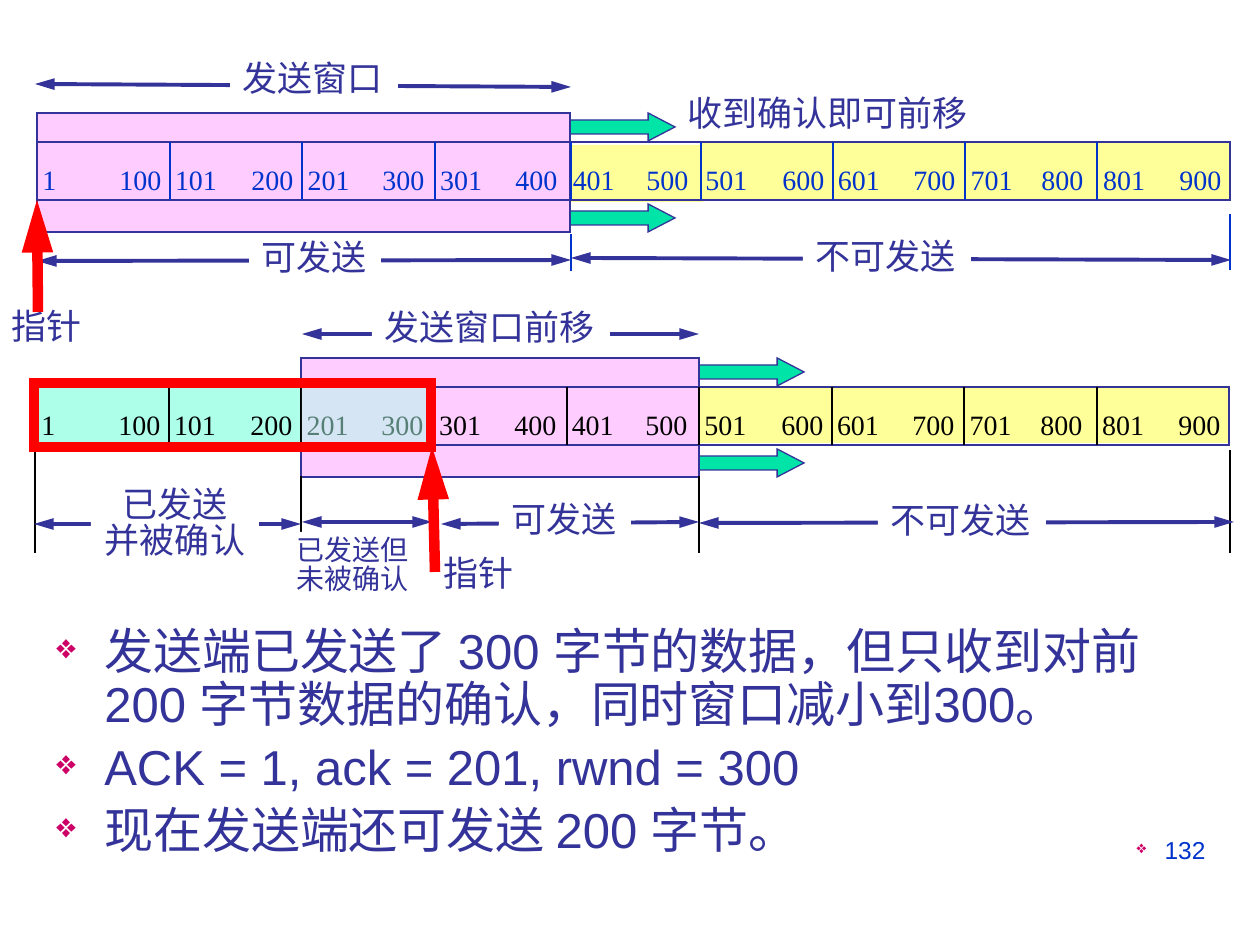
import pptx
import pptx.util
import pptx.dml.color
import pptx.enum.shapes
import pptx.enum.text
import pptx.oxml.ns
import lxml.etree

SCALE = 914400 / 126
COLORS = {
    "indigo": "333399", "blue": "0033CC", "black": "000000", "white": "FFFFFF",
    "yellow": "FFFF99", "pink": "FFCCFF", "mint": "ADFFEA", "green": "00E4A8",
    "red": "FF0000", "bullet": "CC0066",
}
CJK = "Noto Sans CJK SC"
SHAPES = pptx.enum.shapes.MSO_SHAPE
ALIGN = pptx.enum.text.PP_ALIGN
qn = pptx.oxml.ns.qn

deck = pptx.Presentation()
deck.slide_width = round(1260 * SCALE)
deck.slide_height = round(945 * SCALE)
page = deck.slides.add_slide(deck.slide_layouts[6])


def add_box(text, area, shape=SHAPES.RECTANGLE, fill=None, line=None, weight=0.75,
            size=20, font=CJK, color="indigo", align=ALIGN.LEFT, spacing=1.0,
            wrap=False, indent=0, before=0):
    place = [round(value * SCALE) for value in area]
    if text:
        box = page.shapes.add_textbox(*place)
    else:
        box = page.shapes.add_shape(shape, *place)
        box.shadow.inherit = False
        if line:
            box.line.color.rgb = pptx.dml.color.RGBColor.from_string(COLORS[line])
            box.line.width = pptx.util.Pt(weight)
            lxml.etree.SubElement(box.line._get_or_add_ln(), qn("a:miter"), lim="800000")
        else:
            box.line.fill.background()
    if fill:
        box.fill.solid()
        box.fill.fore_color.rgb = pptx.dml.color.RGBColor.from_string(COLORS[fill])
    else:
        box.fill.background()
    if not text:
        return box
    frame = box.text_frame
    frame.word_wrap = wrap
    frame.auto_size = (pptx.enum.text.MSO_AUTO_SIZE.NONE if wrap
                       else pptx.enum.text.MSO_AUTO_SIZE.SHAPE_TO_FIT_TEXT)
    for number, words in enumerate(text.split("\n")):
        para = frame.paragraphs[0] if number == 0 else frame.add_paragraph()
        if indent:
            props = para._p.get_or_add_pPr()
            props.set("marL", str(round(indent * SCALE)))
            props.set("indent", str(round(-indent * SCALE)))
            tint = lxml.etree.SubElement(props, qn("a:buClr"))
            lxml.etree.SubElement(tint, qn("a:srgbClr"), val=COLORS["bullet"])
            lxml.etree.SubElement(props, qn("a:buSzPct"), val="70000")
            lxml.etree.SubElement(props, qn("a:buChar"), char="❖")
        para.alignment = align
        para.line_spacing = spacing
        if number and before:
            para.space_before = pptx.util.Pt(before)
        span = para.add_run()
        span.text = words
        span.font.size = pptx.util.Pt(size)
        span.font.name = font
        span.font.color.rgb = pptx.dml.color.RGBColor.from_string(COLORS[color])
        lxml.etree.SubElement(span._r.get_or_add_rPr(), qn("a:ea"), typeface=CJK)
    return box


def add_line(points, color, weight=0.75, heads=()):
    line = page.shapes.add_connector(
        pptx.enum.shapes.MSO_CONNECTOR.STRAIGHT, *[round(value * SCALE) for value in points])
    line.line.color.rgb = pptx.dml.color.RGBColor.from_string(COLORS[color])
    line.line.width = pptx.util.Pt(weight)
    outline = line.line._get_or_add_ln()
    for head in heads:
        lxml.etree.SubElement(outline, qn("a:" + head), type="triangle", w="med", len="lg")
    lxml.etree.SubElement(line._element.spPr, qn("a:effectLst"))


add_box("132", (903, 829, 315, 66), size=14, font="Arial", color="blue",
        align=ALIGN.RIGHT, wrap=True, indent=28)

rows = [
    {"left": 37, "top": 142, "color": "blue", "window": (37, 533),
     "cells": [(571, 145, 132, "yellow"), (702, 142, 528, "yellow")],
     "dividers": [170, 302, 435, 571, 701, 833, 965, 1097]},
    {"left": 36, "top": 387, "color": "black", "window": (301, 398),
     "cells": [(698, 386, 531, "yellow"), (38, 388, 262, "mint")],
     "dividers": [169, 301, 435, 567, 699, 832, 964, 1097]},
]
end_offsets = [70, 202, 333, 466, 597, 733, 864, 992, 1130]
for row in rows:
    left, top, color = row["left"], row["top"], row["color"]
    window_left, window_width = row["window"]
    for cell_left, cell_top, cell_width, fill in row["cells"]:
        add_box("", (cell_left, cell_top, cell_width, 57), fill=fill)
    for arrow_top in (top - 29, top + 62):
        arrow = add_box("", (window_left + window_width, arrow_top, 105, 28),
                        shape=SHAPES.RIGHT_ARROW, fill="green", line="indigo")
        arrow.adjustments[1] = 0.96
    add_box("", (window_left, top - 29, window_width, 119), fill="pink", line="indigo", weight=1)
    add_box("", (left, top, 1193, 58), line="indigo")
    for x in row["dividers"]:
        add_line((x, top, x, top + 58), color)
    for index, offset in enumerate(end_offsets):
        first, last = 100 * index + 1, 100 * index + 100
        first_left = left - 7 + 132.6 * index
        for number, x, width in ((first, first_left, 68 if index else 40),
                                 (last, left + offset, 68)):
            add_box(str(number), (x, top + 14, width, 47), size=16,
                    font="Times New Roman", color=color)

boundaries = [
    (571, 234, 271, "blue"), (1230, 214, 270, "blue"), (35, 450, 553, "black"),
    (301, 476, 553, "black"), (699, 476, 553, "black"), (1230, 450, 553, "black"),
]
for x, top, bottom, color in boundaries:
    add_line((x, top, x, bottom), color)

acked_part = add_box("", (302, 388, 129, 57), fill="mint")
shade = acked_part._element.spPr.find(qn("a:solidFill"))[0]
lxml.etree.SubElement(shade, qn("a:alpha"), val="50000")
add_box("", (34, 383, 397, 64), line="red", weight=6)

ranges = [
    (35, 84, 571, 87), (37, 261, 571, 260), (571, 258, 1231, 260), (302, 334, 699, 334),
    (34, 524, 301, 524), (302, 522, 432, 522), (441, 524, 699, 522), (699, 523, 1234, 522),
]
for points in ranges:
    add_line(points, "indigo", weight=2.25, heads=("headEnd", "tailEnd"))
for points in ((38, 312, 37, 200), (435, 572, 432, 447)):
    add_line(points, "red", weight=6, heads=("tailEnd",))

labels = [
    ("发送窗口", (230, 50, 168, 54), {"fill": "white"}),
    ("发送窗口前移", (372, 299, 238, 54), {"fill": "white"}),
    ("收到确认即可前移", (675, 92, 309, 48), {"spacing": 0.85}),
    ("可发送", (249, 236, 132, 48), {"fill": "white", "spacing": 0.85}),
    ("不可发送", (803, 235, 168, 48), {"fill": "white", "spacing": 0.85}),
    ("指针", (-1, 305, 98, 48), {"spacing": 0.85}),
    ("已发送\n并被确认", (91, 483, 168, 84),
     {"fill": "white", "spacing": 0.85, "align": ALIGN.CENTER}),
    ("已发送但\n未被确认", (284, 532, 139, 71), {"fill": "white", "spacing": 0.85, "size": 16}),
    ("可发送", (499, 498, 132, 48), {"fill": "white", "spacing": 0.85}),
    ("不可发送", (878, 499, 168, 48), {"fill": "white", "spacing": 0.85}),
    ("指针", (431, 552, 98, 48), {"spacing": 0.85}),
]
for text, area, style in labels:
    add_box(text, area, **style)

add_box("发送端已发送了 300 字节的数据，但只收到对前 200 字节数据的确认，同时窗口减小到300。\n"
        "ACK = 1, ack = 201, rwnd = 300\n"
        "现在发送端还可发送 200 字节。",
        (44, 621, 1171, 198), size=28, font="Arial", spacing=0.9,
        wrap=True, indent=48, before=5.6)

deck.save("out.pptx")
